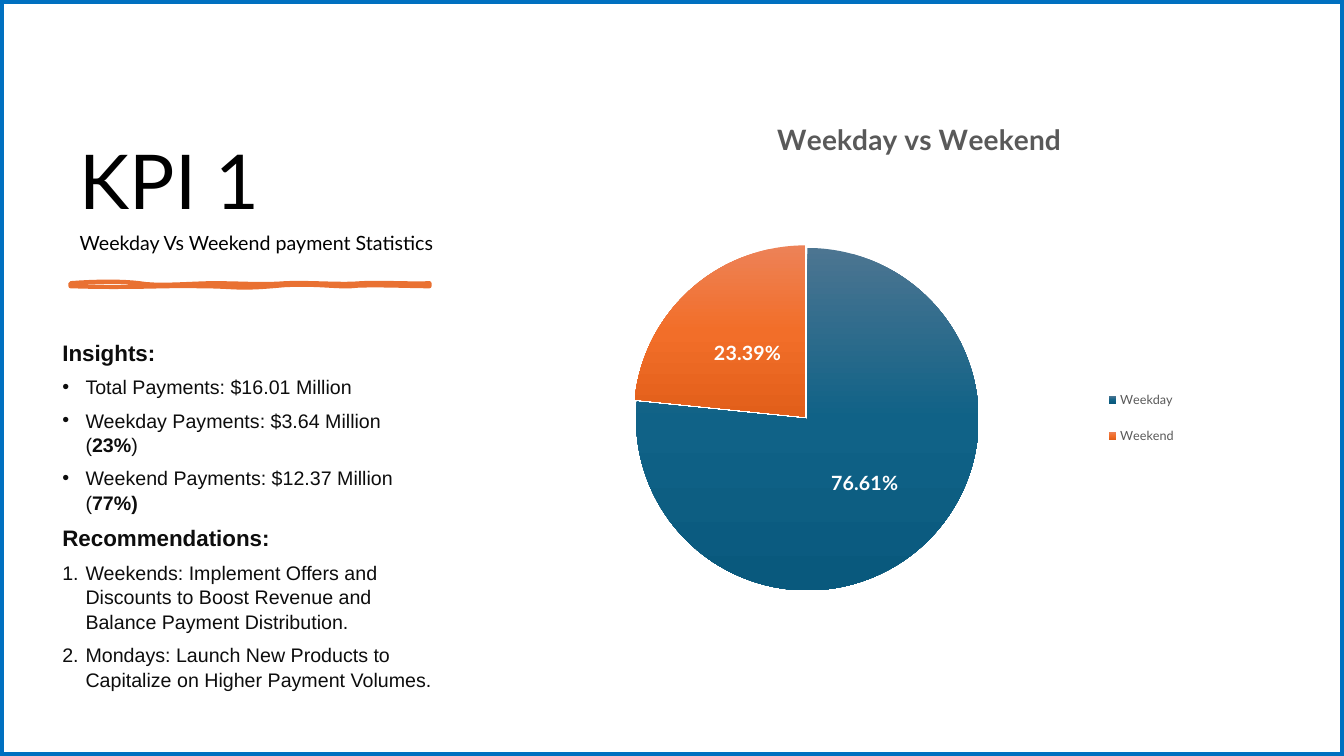
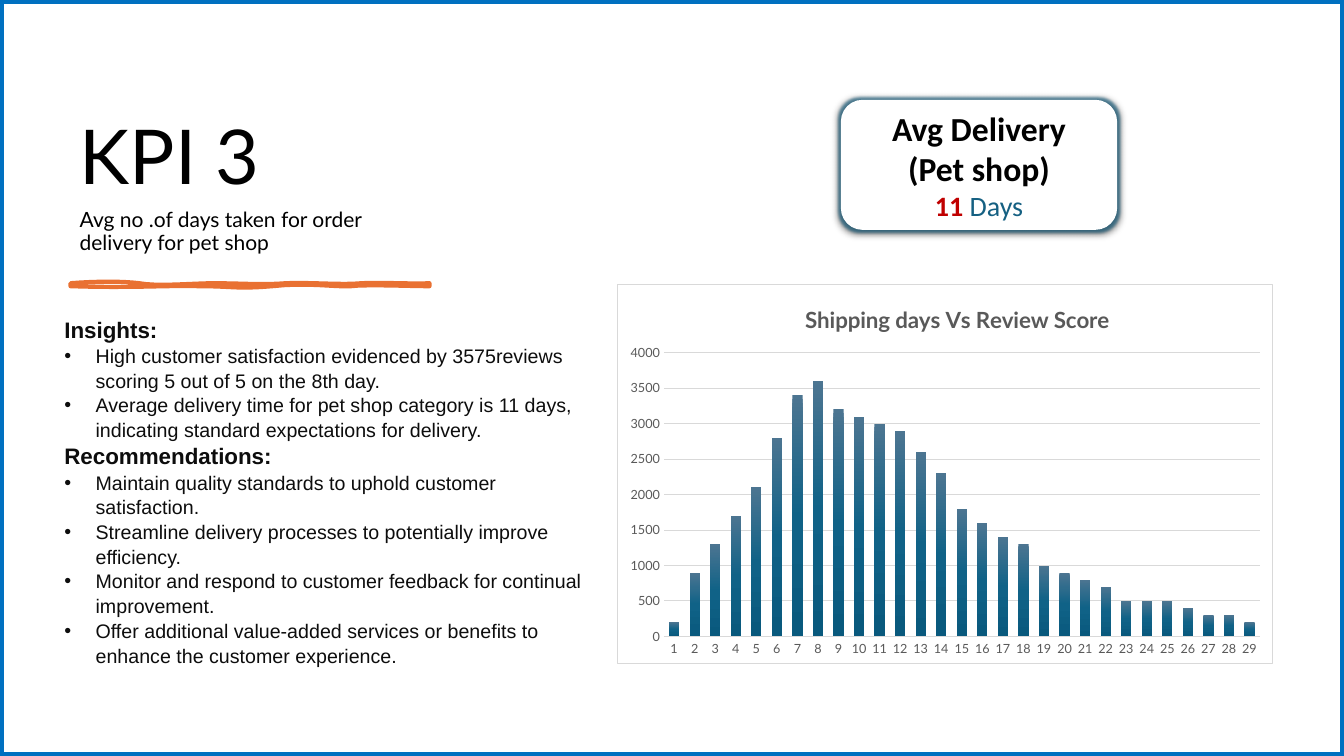
from lxml.etree import SubElement
from pptx import Presentation
from pptx.chart.data import CategoryChartData
from pptx.dml.color import RGBColor
from pptx.enum.chart import XL_CHART_TYPE as ChartType
from pptx.enum.chart import XL_LABEL_POSITION as LabelPos
from pptx.enum.chart import XL_LEGEND_POSITION as LegendPos
from pptx.enum.chart import XL_TICK_MARK as TickMark
from pptx.enum.shapes import MSO_SHAPE as Shape
from pptx.enum.text import MSO_ANCHOR as Anchor
from pptx.enum.text import MSO_AUTO_SIZE as AutoSize
from pptx.enum.text import PP_ALIGN as Align
from pptx.oxml import parse_xml
from pptx.oxml.ns import nsdecls, qn
from pptx.util import Inches, Pt

WHITE = RGBColor(0xFF, 0xFF, 0xFF)
BLACK = RGBColor(0x00, 0x00, 0x00)
INK = RGBColor(0x0D, 0x0D, 0x0D)
GREY = RGBColor(0x59, 0x59, 0x59)
RULE_GREY = RGBColor(0xD9, 0xD9, 0xD9)
ORANGE = RGBColor(0xE9, 0x71, 0x32)
FRAME_BLUE = RGBColor(0x00, 0x70, 0xC0)
TEAL = RGBColor(0x15, 0x60, 0x82)
RED = RGBColor(0xC0, 0x00, 0x00)
TEAL_SHADES = (RGBColor(0x4C, 0x75, 0x91), RGBColor(0x10, 0x62, 0x87), RGBColor(0x09, 0x59, 0x7D))
ORANGE_SHADES = (RGBColor(0xED, 0x82, 0x57), RGBColor(0xF2, 0x6E, 0x29), RGBColor(0xE2, 0x5F, 0x1A))

SLIDE_W, SLIDE_H = 13.33, 7.5
HEAD_FONT, BODY_FONT, CARD_FONT = "Lato", "Arial", "Calibri"
STROKE_BOX = (0.7, 2.81, 3.56, 0.02)
STROKE_CURVES = (
    ((0.27, -0.02), (0.51, -0.02), (0.68, 0)),
    ((0.85, 0.03), (1.07, 0.01), (1.39, 0)),
    ((1.71, 0), (1.9, 0.02), (2.14, 0)),
    ((2.38, -0.01), (2.69, 0.02), (2.89, 0)),
    ((3.09, -0.01), (3.42, 0.01), (3.56, 0)),
    ((3.56, 0.01), (3.56, 0.02), (3.56, 0.03)),
    ((3.38, 0.03), (2.94, 0.01), (2.78, 0.03)),
    ((2.62, 0.04), (2.34, -0.01), (2, 0.03)),
    ((1.65, 0.06), (1.61, 0.03), (1.29, 0.03)),
    ((0.96, 0.02), (0.62, 0.05), (0, 0.03)),
)

HEADING, BULLET, NUMBER = "heading", "bullet", "number"
PAYMENT_NOTES = (
    (HEADING, ("Insights:",)),
    (BULLET, ("Total Payments: $16.01 Million",)),
    (BULLET, ("Weekday Payments: $3.64 Million (", "23%", ")")),
    (BULLET, ("Weekend Payments: $12.37 Million (", "77%)")),
    (HEADING, ("Recommendations:",)),
    (NUMBER, ("Weekends: Implement Offers and Discounts to Boost Revenue "
              "and Balance Payment Distribution.",)),
    (NUMBER, ("Mondays: Launch New Products to Capitalize on Higher Payment Volumes.",)),
)
DELIVERY_NOTES = (
    (HEADING, ("Insights:",)),
    (BULLET, ("High customer satisfaction evidenced by 3575reviews scoring 5 out of 5 on the 8th day.",)),
    (BULLET, ("Average delivery time for pet shop category is 11 days, "
              "indicating standard expectations for delivery.",)),
    (HEADING, ("Recommendations:",)),
    (BULLET, ("Maintain quality standards to uphold customer satisfaction.",)),
    (BULLET, ("Streamline delivery processes to potentially improve efficiency.",)),
    (BULLET, ("Monitor and respond to customer feedback for continual improvement.",)),
    (BULLET, ("Offer additional value-added services or benefits to enhance the customer experience.",)),
)
REVIEWS_BY_DAY = (200, 900, 1300, 1700, 2100, 2800, 3400, 3600, 3200, 3100,
                  3000, 2900, 2600, 2300, 1800, 1600, 1400, 1300, 1000, 900,
                  800, 700, 500, 500, 500, 400, 300, 300, 200)


def inches(box):
    """Turn a box of plain numbers into lengths."""
    return [Inches(side) for side in box]


def style_font(font, name, size, color, bold=False):
    """Set the face, size, colour and weight of a font."""
    font.name, font.size, font.bold = name, Pt(size), bold
    font.color.rgb = color


def add_run(paragraph, text, name, size, color, bold=False):
    """Append one styled run."""
    run = paragraph.add_run()
    run.text = text
    style_font(run.font, name, size, color, bold)


def place_title(slide, box, heading, subtitle, subtitle_size):
    """Set the KPI number and its subtitle in the title placeholder."""
    title = slide.shapes.title
    title.left, title.top, title.width, title.height = inches(box)
    frame = title.text_frame
    frame.auto_size, frame.word_wrap = AutoSize.NONE, True
    frame.vertical_anchor = Anchor.BOTTOM
    lines = ((heading, 54), (subtitle, subtitle_size))
    for index, (text, size) in enumerate(lines):
        paragraph = frame.add_paragraph() if index else frame.paragraphs[0]
        paragraph.alignment = Align.LEFT
        paragraph.line_spacing = 0.9
        paragraph.space_before, paragraph.space_after = Pt(0), Pt(6)
        add_run(paragraph, text, HEAD_FONT, size, BLACK)


def bezier(start, first, second, end, steps=8):
    """Return points along a cubic curve, without its start."""
    points = []
    for step in range(1, steps + 1):
        t = step / steps
        weights = ((1 - t) ** 3, 3 * t * (1 - t) ** 2, 3 * t * t * (1 - t), t ** 3)
        corners = (start, first, second, end)
        points.append(tuple(sum(w * c[axis] for w, c in zip(weights, corners)) for axis in (0, 1)))
    return points


def place_brush_stroke(slide, box):
    """Draw the hand-drawn rule under the title."""
    left, top = box[:2]
    here, outline = (0, 0), []
    for curve in STROKE_CURVES:
        outline += bezier(here, *curve)
        here = curve[-1]
    builder = slide.shapes.build_freeform(Inches(left), Inches(top))
    builder.add_line_segments([(Inches(left + x), Inches(top + y)) for x, y in outline], close=True)
    stroke = builder.convert_to_shape()
    stroke.shadow.inherit = False
    stroke.fill.background()
    stroke.line.color.rgb, stroke.line.width = ORANGE, Pt(3)


def set_marker(paragraph, kind, indent):
    """Give a paragraph a hanging bullet or number."""
    properties = paragraph._p.get_or_add_pPr()
    properties.set("marL", str(Inches(indent)))
    properties.set("indent", str(-Inches(indent)))
    if kind == NUMBER:
        SubElement(properties, qn("a:buAutoNum"), type="arabicPeriod")
    else:
        SubElement(properties, qn("a:buFont"), typeface=BODY_FONT)
        SubElement(properties, qn("a:buChar"), char="•")


def place_notes(slide, box, notes, indent, gap):
    """Write the insights and recommendations; every second run is bold."""
    frame = slide.shapes.add_textbox(*inches(box)).text_frame
    frame.word_wrap = True
    for index, (kind, texts) in enumerate(notes):
        paragraph = frame.add_paragraph() if index else frame.paragraphs[0]
        paragraph.line_spacing, paragraph.space_after = 1.05, Pt(gap)
        is_heading = kind == HEADING
        if not is_heading:
            set_marker(paragraph, kind, indent)
        for order, text in enumerate(texts):
            add_run(paragraph, text, BODY_FONT, 16 if is_heading else 14, INK,
                    is_heading or order % 2 == 1)


def shade(chart_format, colors):
    """Fill a series or point with a top-to-bottom gradient."""
    stops = "".join(
        f'<a:gs pos="{index * 50000}"><a:srgbClr val="{color}"/></a:gs>'
        for index, color in enumerate(colors))
    properties = chart_format._element.get_or_add_spPr()
    properties.append(parse_xml(
        f'<a:gradFill {nsdecls("a")} rotWithShape="1"><a:gsLst>{stops}</a:gsLst>'
        '<a:lin ang="5400000" scaled="0"/></a:gradFill>'))
    return properties


def manual_layout(x, y, w=None, h=None, inner=False):
    """Build a layout element from fractions of the chart."""
    target = '<c:layoutTarget val="inner"/>' if inner else ""
    modes = '<c:xMode val="edge"/><c:yMode val="edge"/>'
    sizes = "".join(f'<c:{key} val="{value}"/>'
                    for key, value in zip("xywh", (x, y, w, h)) if value is not None)
    return parse_xml(f'<c:layout {nsdecls("c")}><c:manualLayout>{target}{modes}{sizes}'
                     '</c:manualLayout></c:layout>')


def set_layout(part, after, layout):
    """Put a layout into a chart part, after the named child if there is one."""
    for old in part.findall(qn("c:layout")):
        part.remove(old)
    previous = part.find(qn(after)) if after else None
    if previous is None:
        part.insert(0, layout)
    else:
        previous.addnext(layout)


def add_titled_chart(slide, box, kind, categories, values, title, title_size, title_at):
    """Add a one-series chart with a grey bold title."""
    data = CategoryChartData()
    data.categories = categories
    data.add_series("Series 1", values)
    chart = slide.shapes.add_chart(kind, *inches(box), data).chart
    style_font(chart.font, HEAD_FONT, 10, BLACK)
    chart.has_title = True
    heading = chart.chart_title.text_frame.paragraphs[0]
    add_run(heading, title, HEAD_FONT, title_size, GREY, True)
    set_layout(chart.chart_title._element, "c:tx", manual_layout(*title_at))
    return chart


def place_share_pie(slide, box):
    """Draw the weekday and weekend shares."""
    chart = add_titled_chart(slide, box, ChartType.PIE, ("Weekday", "Weekend"), (0.7661, 0.2339),
                             "Weekday vs Weekend", 20, (0.34, 0.07))
    chart.has_legend = True
    legend = chart.legend
    legend.position, legend.include_in_layout = LegendPos.RIGHT, False
    style_font(legend.font, HEAD_FONT, 9, GREY)
    set_layout(legend._element, "c:legendPos", manual_layout(0.76, 0.49, 0.13, 0.15))
    plot = chart.plots[0]
    plot.vary_by_categories = True
    set_layout(chart._chartSpace.chart.plotArea, None, manual_layout(0.16, 0.21, 0.45, 0.71, True))
    for index, shades in enumerate((TEAL_SHADES, ORANGE_SHADES)):
        point = plot.series[0].points[index]
        slice_look = shade(point.format, shades)
        slice_look.addprevious(parse_xml(f'<c:explosion {nsdecls("c")} val="1"/>'))
    plot.has_data_labels = True
    labels = plot.data_labels
    labels.show_value, labels.show_percentage = True, False
    labels.number_format, labels.number_format_is_linked = "0.00%", False
    labels.position = LabelPos.CENTER
    style_font(labels.font, HEAD_FONT, 14, WHITE, True)


def place_review_columns(slide, box):
    """Draw the review counts by shipping day in a bordered chart."""
    days = [str(day) for day in range(1, len(REVIEWS_BY_DAY) + 1)]
    chart = add_titled_chart(slide, box, ChartType.COLUMN_CLUSTERED, days, REVIEWS_BY_DAY,
                             "Shipping days Vs Review Score", 16, (0.28, 0.04))
    chart.has_legend = False
    plot = chart.plots[0]
    plot.gap_width, plot.overlap, plot.vary_by_categories = 100, -24, False
    shade(plot.series[0].format, TEAL_SHADES)
    for axis in (chart.category_axis, chart.value_axis):
        axis.major_tick_mark = axis.minor_tick_mark = TickMark.NONE
        style_font(axis.tick_labels.font, HEAD_FONT, 9, GREY)
    day_line = chart.category_axis.format.line
    day_line.color.rgb, day_line.width = RULE_GREY, Pt(1)
    counts = chart.value_axis
    counts.minimum_scale, counts.maximum_scale, counts.major_unit = 0, 4000, 500
    counts.format.line.fill.background()
    counts.has_major_gridlines = True
    grid = counts.major_gridlines.format.line
    grid.color.rgb, grid.width = RULE_GREY, Pt(0.75)
    chart._chartSpace.chart.addnext(parse_xml(
        f'<c:spPr {nsdecls("c", "a")}><a:solidFill><a:srgbClr val="{WHITE}"/></a:solidFill>'
        f'<a:ln w="{Pt(0.75)}"><a:solidFill><a:srgbClr val="{RULE_GREY}"/></a:solidFill></a:ln>'
        '</c:spPr>'))


def place_delivery_card(slide, box):
    """Show the average delivery time on a raised card."""
    card = slide.shapes.add_shape(Shape.ROUNDED_RECTANGLE, *inches(box))
    card.fill.solid()
    card.fill.fore_color.rgb = WHITE
    card.line.fill.background()
    card.shadow.inherit = False
    effects = card._element.spPr.find(qn("a:effectLst"))
    effects.append(parse_xml(
        f'<a:glow {nsdecls("a")} rad="{Pt(4)}"><a:srgbClr val="{TEAL}">'
        '<a:alpha val="60000"/></a:srgbClr></a:glow>'))
    effects.append(parse_xml(
        f'<a:outerShdw {nsdecls("a")} blurRad="{Pt(4.5)}" dist="{Pt(1.5)}" dir="5400000" '
        f'rotWithShape="0"><a:srgbClr val="{BLACK}"><a:alpha val="63000"/></a:srgbClr></a:outerShdw>'))
    frame = card.text_frame
    frame.word_wrap, frame.vertical_anchor = True, Anchor.MIDDLE
    lines = ((("Avg Delivery", 24, BLACK, True),),
             (("(Pet shop)", 24, BLACK, True),),
             (("11 ", 20, RED, True), ("Days", 20, TEAL, False)))
    for index, runs in enumerate(lines):
        paragraph = frame.add_paragraph() if index else frame.paragraphs[0]
        paragraph.alignment = Align.CENTER
        for text, size, color, bold in runs:
            add_run(paragraph, text, CARD_FONT, size, color, bold)


def place_frame(slide, box):
    """Outline the whole slide in blue."""
    border = slide.shapes.add_shape(Shape.RECTANGLE, *inches(box))
    border.shadow.inherit = False
    border.fill.background()
    border.line.color.rgb, border.line.width = FRAME_BLUE, Pt(6)


def add_kpi_slide(deck, title, notes, visuals):
    """Build a KPI slide from its title, notes and boxed visuals."""
    slide = deck.slides.add_slide(deck.slide_layouts[5])
    place_title(slide, *title)
    place_brush_stroke(slide, STROKE_BOX)
    place_notes(slide, *notes)
    for place, box in visuals:
        place(slide, box)
    place_frame(slide, (0, 0, SLIDE_W, SLIDE_H))


def main():
    """Build and save the deck."""
    deck = Presentation()
    deck.slide_width, deck.slide_height = Inches(SLIDE_W), Inches(SLIDE_H)
    add_kpi_slide(deck,
                  ((0.69, 0.7, 3.75, 1.88), "KPI 1", "Weekday Vs Weekend payment Statistics", 14),
                  ((0.52, 3.3, 3.93, 3.73), PAYMENT_NOTES, 0.23, 6),
                  ((place_share_pie, (5.09, 0.7, 7.55, 6.1)),))
    add_kpi_slide(deck,
                  ((0.69, 0.7, 3.19, 1.88), "KPI 3",
                   "Avg no .of days taken for order delivery for pet shop", 15),
                  ((0.54, 3.07, 5.45, 3.53), DELIVERY_NOTES, 0.31, 0),
                  ((place_delivery_card, (8.34, 0.99, 2.74, 1.29)),
                   (place_review_columns, (6.12, 2.82, 6.51, 3.77))))
    deck.save("out.pptx")


if __name__ == "__main__":
    main()
